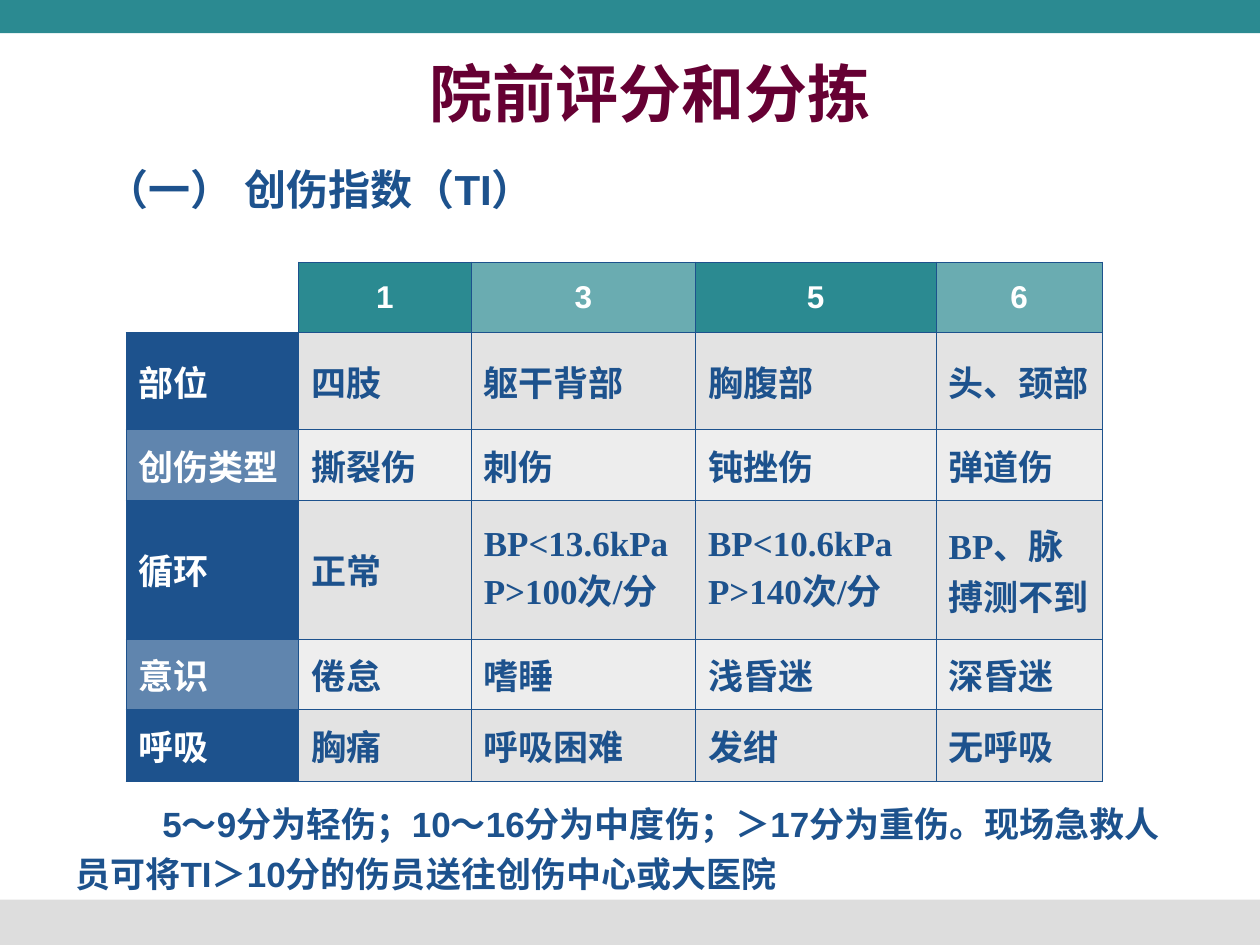
import pptx
import pptx.util
import pptx.dml.color
import pptx.enum.shapes
import pptx.enum.text
import pptx.oxml.ns
import lxml.etree

THEME = {
    "teal": "2B8A91", "navy": "1D528D", "grey": "DDDDDD", "wine": "660033", "white": "FFFFFF",
    "heading_font": "DejaVu Sans", "text_font": "Arial", "cell_font": "Times New Roman",
    "heading_size": 36, "subheading_size": 24, "text_size": 20, "score_size": 18, "rule": 0.45,
}
ALIGN = pptx.enum.text.PP_ALIGN
MIDDLE = pptx.enum.text.MSO_ANCHOR.MIDDLE
RGB = pptx.dml.color.RGBColor.from_string
qn = pptx.oxml.ns.qn

deck = pptx.Presentation()
deck.slide_width = pptx.util.Inches(10)
deck.slide_height = pptx.util.Inches(7.5)
slide = deck.slides.add_slide(deck.slide_layouts[6])
across = deck.slide_width / 100
down = deck.slide_height / 100


def area(left, top, width, height):
    return [round(left * across), round(top * down), round(width * across), round(height * down)]


def style(paragraph, text, font, size, color):
    paragraph.text = text
    paragraph.font.name = THEME[font]
    paragraph.font.size = pptx.util.Pt(THEME[size])
    paragraph.font.bold = True
    paragraph.font.color.rgb = RGB(THEME[color])


for top, height, color in [(95.2, 4.8, "grey"), (0, 3.5, "teal")]:
    band = slide.shapes.add_shape(
        pptx.enum.shapes.MSO_SHAPE.RECTANGLE, *area(0, top, 100, height))
    band.shadow.inherit = False
    band.fill.solid()
    band.fill.fore_color.rgb = RGB(THEME[color])
    band.line.fill.background()

passages = [
    ("院前评分和分拣", area(5.8, 5.6, 91.6, 8.27), "heading_font", "heading_size", "wine", 0),
    ("（一） 创伤指数（TI）", area(7.5, 16.67, 44.2, 76.67), "text_font", "subheading_size", "navy", 0),
    ("5～9分为轻伤；10～16分为中度伤；＞17分为重伤。现场急救人员可将TI＞10分的伤员送往创伤中心或大医院",
     area(5, 83.33, 89.2, 12), "text_font", "text_size", "navy", 6.9),
]
for text, place, font, size, color, indent in passages:
    frame = slide.shapes.add_textbox(*place).text_frame
    frame.word_wrap = True
    paragraph = frame.paragraphs[0]
    style(paragraph, text, font, size, color)
    east_asian = lxml.etree.SubElement(paragraph.runs[0].font._element, qn("a:ea"))
    east_asian.set("typeface", THEME[font])
    if size == "heading_size":
        paragraph.alignment = ALIGN.CENTER
        frame.vertical_anchor = MIDDLE
    if indent:
        paragraph.line_spacing = 1.2
        paragraph._p.get_or_add_pPr().set("indent", str(round(indent * across)))
        frame.auto_size = pptx.enum.text.MSO_AUTO_SIZE.SHAPE_TO_FIT_TEXT

scores = [
    ["", "1", "3", "5", "6"],
    ["部位", "四肢", "躯干背部", "胸腹部", "头、颈部"],
    ["创伤类型", "撕裂伤", "刺伤", "钝挫伤", "弹道伤"],
    ["循环", "正常", "BP<13.6kPa P>100次/分", "BP<10.6kPa P>140次/分", "BP、脉搏测不到"],
    ["意识", "倦怠", "嗜睡", "浅昏迷", "深昏迷"],
    ["呼吸", "胸痛", "呼吸困难", "发绀", "无呼吸"],
]
column_shares = [13.7, 13.7, 17.8, 19.1, 13.2]
row_shares = [7.47, 10.27, 7.47, 14.67, 7.47, 7.6]
grid = slide.shapes.add_table(
    len(row_shares), len(column_shares),
    *area(10, 27.73, sum(column_shares), sum(row_shares))).table
grid.first_row = False
grid.horz_banding = False
for column, share in zip(grid.columns, column_shares):
    column.width = round(share * across)
for row, share in zip(grid.rows, row_shares):
    row.height = round(share * down)

for r, entries in enumerate(scores):
    for c, entry in enumerate(entries):
        cell = grid.cell(r, c)
        cell.vertical_anchor = MIDDLE
        corner = r == 0 and c == 0
        if corner:
            cell.fill.background()
        else:
            if r == 0:
                fill, ink, opacity = "teal", "white", 100 if c % 2 else 70
            elif c == 0:
                fill, ink, opacity = "navy", "white", 100 if r % 2 else 70
            else:
                fill, ink = "grey", "navy"
                opacity = (80 if r % 2 else 48) + (0 if c % 2 else 2)
            paragraph = cell.text_frame.paragraphs[0]
            if r == 0:
                style(paragraph, entry, "text_font", "score_size", ink)
                paragraph.alignment = ALIGN.CENTER
            else:
                style(paragraph, entry, "cell_font", "text_size", ink)
            cell.fill.solid()
            cell.fill.fore_color.rgb = RGB(THEME[fill])
            if opacity < 100:
                tint = cell._tc.tcPr.find(".//" + qn("a:srgbClr"))
                lxml.etree.SubElement(tint, qn("a:alpha")).set("val", str(opacity * 1000))
        for position, side in enumerate(["L", "R", "T", "B"]):
            edge = lxml.etree.Element(qn("a:ln" + side))
            edge.set("w", str(pptx.util.Pt(THEME["rule"])))
            if corner and side in "LT":
                lxml.etree.SubElement(edge, qn("a:noFill"))
            else:
                ink_fill = lxml.etree.SubElement(edge, qn("a:solidFill"))
                lxml.etree.SubElement(ink_fill, qn("a:srgbClr")).set("val", THEME["navy"])
            cell._tc.tcPr.insert(position, edge)

deck.save("out.pptx")
